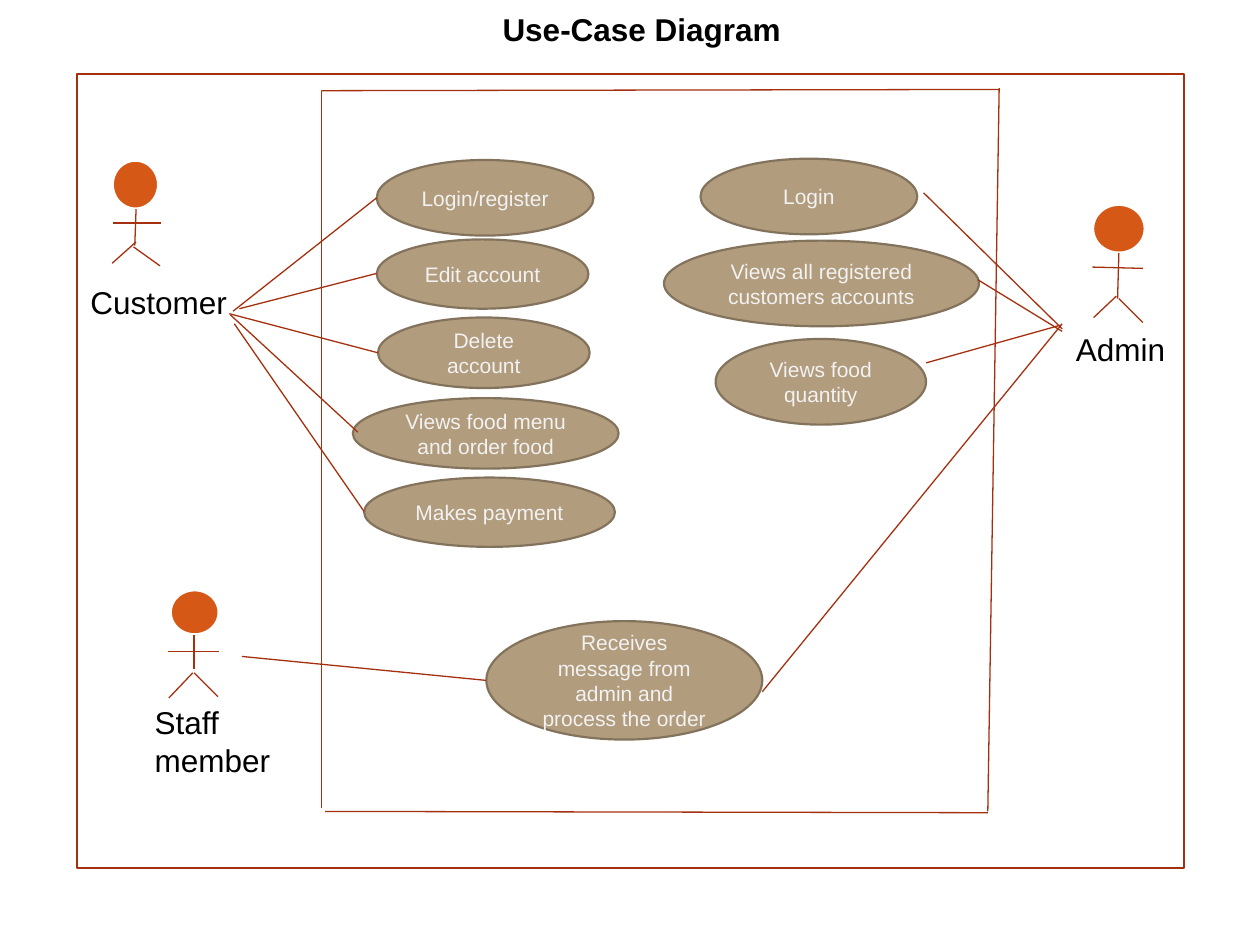
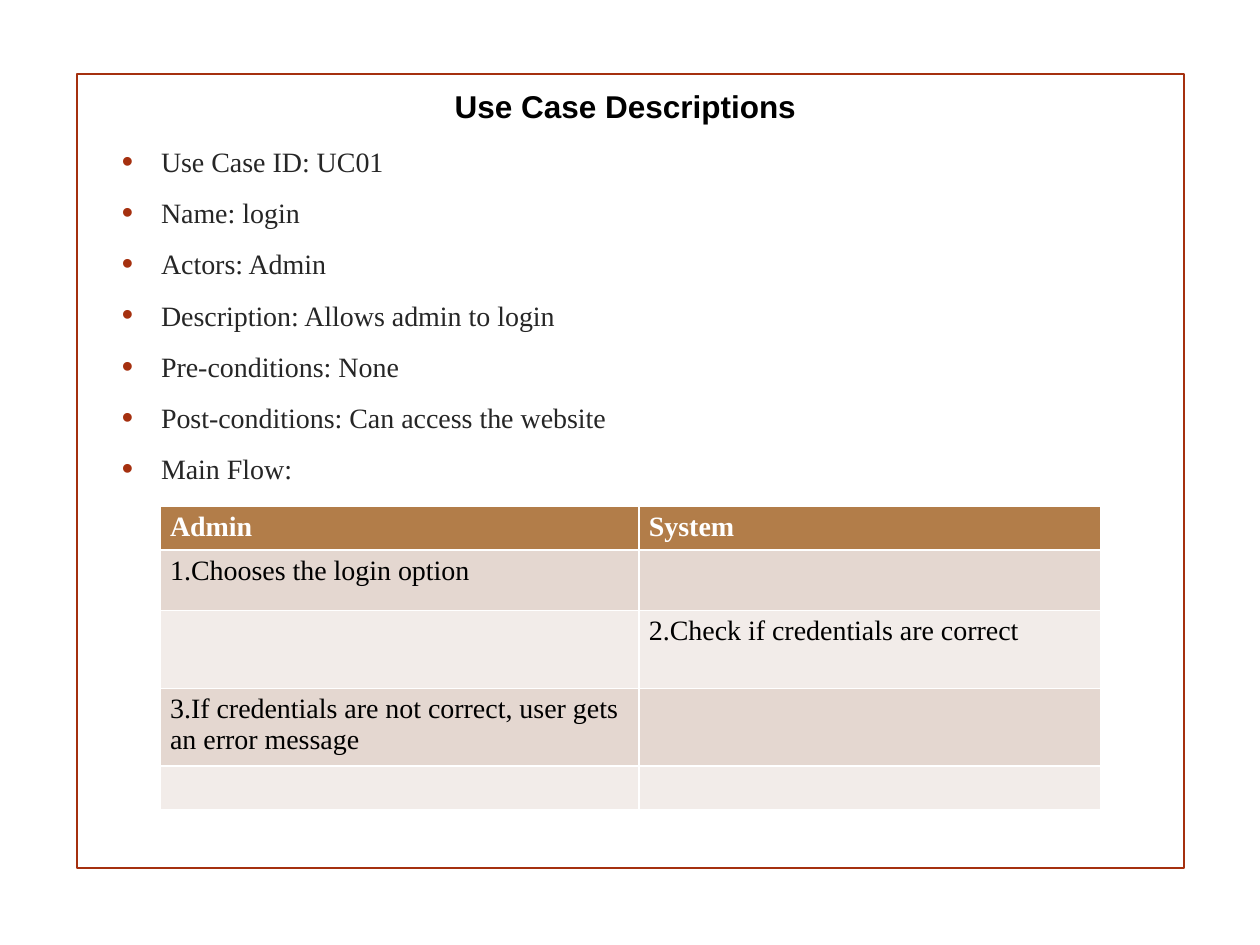
from dataclasses import dataclass
from typing import NamedTuple

from lxml import etree
from pptx import Presentation, dml, oxml
from pptx import util as u
from pptx.dml import color
from pptx.enum import shapes, text
from pptx.oxml import ns

COLORS = {
    "rust": "A5300F",
    "orange": "D55816",
    "white": "FFFFFF",
    "black": "000000",
    "body": "262626",
    "oval": "B19C7D",
    "oval_edge": "83735C",
    "oval_text": "F2F2F2",
    "header": "B27D49",
    "band_dark": "E4D7D0",
    "band_light": "F2ECE9",
}


class Box(NamedTuple):
    left: float
    top: float
    width: float
    height: float


class Line(NamedTuple):
    x1: float
    y1: float
    x2: float
    y2: float


class Style(NamedTuple):
    font: str
    size: float
    color: str
    bold: bool = False


@dataclass(frozen=True)
class UseCase:
    label: str
    box: Box


@dataclass(frozen=True)
class Actor:
    label: str
    label_box: Box
    head: Box
    limbs: tuple[Line, ...]


TITLE = Style("Arial", 18, "black", True)
ACTOR_LABEL = Style("Arial", 18, "black")
USE_CASE_LABEL = Style("Arial", 12, "oval_text")
DETAIL = Style("Times New Roman", 16, "body")
TABLE_HEADER = Style("Times New Roman", 16, "white", True)
TABLE_BODY = Style("Times New Roman", 16, "black")

FRAME = Box(0.61, 0.59, 8.79, 6.3)

USE_CASES = (
    UseCase("Login/register", Box(2.99, 1.27, 1.72, 0.6)),
    UseCase("Edit account", Box(2.99, 1.9, 1.68, 0.55)),
    UseCase("Delete account", Box(3, 2.52, 1.68, 0.56)),
    UseCase("Views food menu and order food", Box(2.8, 3.16, 2.11, 0.56)),
    UseCase("Makes payment", Box(2.89, 3.79, 1.99, 0.55)),
    UseCase("Login", Box(5.56, 1.26, 1.72, 0.6)),
    UseCase("Views all registered customers accounts", Box(5.27, 1.91, 2.5, 0.68)),
    UseCase("Views food quantity", Box(5.68, 2.69, 1.67, 0.68)),
    UseCase("Receives message from admin and process the order",
            Box(3.86, 4.93, 2.19, 0.94)),
)

ACTORS = (
    Actor("Customer", Box(0.62, 2.2, 1.34, 0.4), Box(0.89, 1.27, 0.37, 0.39), (
        Line(1.08, 1.66, 1.07, 1.95), Line(0.9, 1.77, 1.28, 1.77),
        Line(1.08, 1.92, 0.89, 2.09), Line(1.06, 1.96, 1.27, 2.11))),
    Actor("Admin", Box(8.44, 2.57, 0.92, 0.4), Box(8.67, 1.62, 0.42, 0.39), (
        Line(8.88, 2.01, 8.87, 2.37), Line(8.67, 2.12, 9.07, 2.13),
        Line(8.86, 2.35, 8.68, 2.52), Line(8.88, 2.37, 9.07, 2.56))),
    Actor("Staff member", Box(1.13, 5.53, 1.2, 0.71), Box(1.35, 4.68, 0.39, 0.36), (
        Line(1.54, 5.04, 1.54, 5.31), Line(1.33, 5.17, 1.74, 5.17),
        Line(1.53, 5.34, 1.34, 5.54), Line(1.54, 5.34, 1.73, 5.53))),
)

SYSTEM_BOUNDARY = (
    Line(2.55, 0.72, 7.93, 0.71),
    Line(7.93, 0.7, 7.84, 6.44),
    Line(7.84, 6.45, 2.58, 6.44),
    Line(2.55, 0.72, 2.55, 6.41),
)

ASSOCIATIONS = (
    Line(1.85, 2.47, 2.99, 1.57),
    Line(1.9, 2.45, 2.99, 2.17),
    Line(1.82, 2.49, 3, 2.8),
    Line(1.83, 2.5, 2.84, 3.43),
    Line(1.86, 2.57, 2.89, 4.06),
    Line(8.43, 2.61, 7.33, 1.53),
    Line(8.43, 2.63, 7.76, 2.22),
    Line(8.42, 2.58, 7.35, 2.88),
    Line(8.43, 2.57, 6.05, 5.49),
    Line(1.92, 5.21, 3.86, 5.4),
)

DETAILS = (
    "Use Case ID: UC01",
    "Name: login",
    "Actors: Admin",
    "Description: Allows admin to login",
    "Pre-conditions: None",
    "Post-conditions: Can access the website",
    "Main Flow:",
)

MAIN_FLOW = (
    ("Admin", "System"),
    ("1.Chooses the login option", ""),
    ("", "2.Check if credentials are correct"),
    ("3.If credentials are not correct, user gets an error message", ""),
    ("", ""),
)
FLOW_WIDTHS = (3.8, 3.67)
FLOW_HEIGHTS = (0.29, 0.48, 0.62, 0.52, 0.35)


def rgb(name: str) -> color.RGBColor:
    return color.RGBColor.from_string(COLORS[name])


def inches(values: tuple) -> list:
    return [u.Inches(value) for value in values]


def write(paragraph, content: str, style: Style) -> None:
    paragraph.text = content
    font = paragraph.font
    font.name = style.font
    font.size = u.Pt(style.size)
    font.bold = style.bold
    font.color.rgb = rgb(style.color)


def add_outlined(slide, preset, box: Box, fill: str | None, edge: str, weight: float):
    shape = slide.shapes.add_shape(preset, *inches(box))
    shape.shadow.inherit = False
    if fill:
        shape.fill.solid()
        shape.fill.fore_color.rgb = rgb(fill)
    else:
        shape.fill.background()
    shape.line.color.rgb = rgb(edge)
    shape.line.width = u.Pt(weight)
    return shape


def add_text(slide, box: Box, content: str, style: Style):
    frame = slide.shapes.add_textbox(*inches(box)).text_frame
    frame.word_wrap = True
    write(frame.paragraphs[0], content, style)
    return frame


def add_line(slide, line: Line) -> None:
    connector = slide.shapes.add_connector(
        shapes.MSO_CONNECTOR.STRAIGHT, *inches(line))
    connector.line.color.rgb = rgb("rust")
    connector.line.width = u.Pt(0.75)
    etree.SubElement(connector._element.spPr, ns.qn("a:effectLst"))


def add_use_case(slide, use_case: UseCase) -> None:
    oval = add_outlined(slide, shapes.MSO_SHAPE.OVAL, use_case.box,
                        "oval", "oval_edge", 1.25)
    frame = oval.text_frame
    frame.word_wrap = True
    frame.vertical_anchor = text.MSO_ANCHOR.MIDDLE
    write(frame.paragraphs[0], use_case.label, USE_CASE_LABEL)
    frame.paragraphs[0].alignment = text.PP_ALIGN.CENTER


def add_actor(slide, actor: Actor) -> None:
    add_outlined(slide, shapes.MSO_SHAPE.FLOWCHART_CONNECTOR, actor.head,
                 "orange", "white", 2)
    for limb in actor.limbs:
        add_line(slide, limb)
    add_text(slide, actor.label_box, actor.label, ACTOR_LABEL)


def add_bullet(paragraph) -> None:
    properties = paragraph._p.get_or_add_pPr()
    properties.set("marL", str(u.Inches(0.31)))
    properties.set("indent", str(-u.Inches(0.31)))
    bullet_color = etree.SubElement(properties, ns.qn("a:buClr"))
    etree.SubElement(bullet_color, ns.qn("a:srgbClr"), val=COLORS["rust"])
    etree.SubElement(properties, ns.qn("a:buSzPct"), val="115000")
    etree.SubElement(properties, ns.qn("a:buFont"), typeface="Arial")
    etree.SubElement(properties, ns.qn("a:buChar"), char="•")


def add_details(slide) -> None:
    box = slide.shapes.add_textbox(*inches(Box(0.87, 1.1, 8.64, 2.88)))
    frame = box.text_frame
    frame.word_wrap = True
    for index, detail in enumerate(DETAILS):
        paragraph = frame.add_paragraph() if index else frame.paragraphs[0]
        add_bullet(paragraph)
        paragraph.space_before = u.Pt(4)
        paragraph.space_after = u.Pt(6)
        write(paragraph, detail, DETAIL)


def add_main_flow(slide) -> None:
    box = Box(1.27, 4.02, sum(FLOW_WIDTHS), sum(FLOW_HEIGHTS))
    table = slide.shapes.add_table(
        len(FLOW_HEIGHTS), len(FLOW_WIDTHS), *inches(box)).table
    for column, width in zip(table.columns, FLOW_WIDTHS):
        column.width = u.Inches(width)
    for index, (row, height, steps) in enumerate(
            zip(table.rows, FLOW_HEIGHTS, MAIN_FLOW)):
        row.height = u.Inches(height)
        band = "band_dark" if index % 2 else "band_light"
        for cell, step in zip(row.cells, steps):
            cell.fill.solid()
            cell.fill.fore_color.rgb = rgb(band if index else "header")
            cell.margin_left = cell.margin_right = u.Inches(0.08)
            cell.margin_top = cell.margin_bottom = u.Inches(0.04)
            write(cell.text_frame.paragraphs[0], step,
                  TABLE_BODY if index else TABLE_HEADER)


def add_framed_slide(deck, title: str, title_box: Box):
    slide = deck.slides.add_slide(deck.slide_layouts[6])
    add_outlined(slide, shapes.MSO_SHAPE.RECTANGLE, FRAME, None, "rust", 1.25)
    add_text(slide, title_box, title, TITLE)
    return slide


def build_diagram(deck) -> None:
    slide = add_framed_slide(deck, "Use-Case Diagram", Box(3.89, 0.03, 5, 0.4))
    for use_case in USE_CASES:
        add_use_case(slide, use_case)
    for line in SYSTEM_BOUNDARY + ASSOCIATIONS:
        add_line(slide, line)
    for actor in ACTORS:
        add_actor(slide, actor)


def build_description(deck) -> None:
    slide = add_framed_slide(
        deck, "Use Case Descriptions", Box(3.51, 0.64, 3.81, 0.4))
    add_details(slide)
    add_main_flow(slide)


def main() -> None:
    deck = Presentation()
    deck.slide_width, deck.slide_height = u.Inches(10), u.Inches(7.5)
    build_diagram(deck)
    build_description(deck)
    deck.save("out.pptx")


if __name__ == "__main__":
    main()
